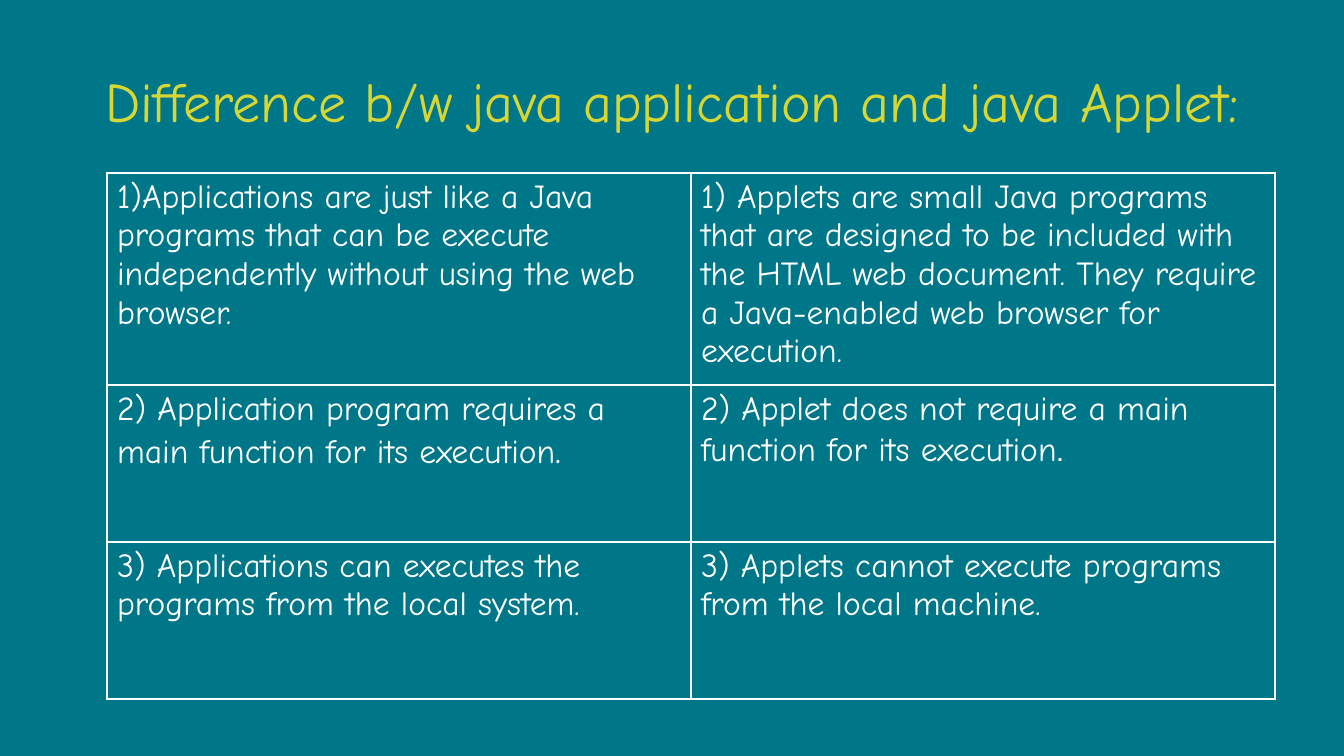
from dataclasses import dataclass

from lxml.etree import SubElement
from pptx import Presentation
from pptx.dml.color import RGBColor
from pptx.enum.text import MSO_ANCHOR, MSO_AUTO_SIZE, PP_ALIGN
from pptx.oxml.ns import qn
from pptx.util import Emu, Pt

COLORS = {"background": "007788", "title": "D6D734", "text": "FFFFFF", "border": "FFFFFF"}
FONT = "Comic Neue"
COLUMN_WIDTH = 584
ROW_HEIGHTS = (212, 157, 157)
TABLE_LEFT, TABLE_TOP = 107, 173


@dataclass
class Span:
    text: str
    size: int = 24
    font: str = FONT
    color: str = "text"


ROWS = [
    [
        [Span("1)Applications are just like a Java programs that can be execute "
              "independently without using the web browser.")],
        [Span("1) Applets are small Java programs that are designed to be included "
              "with the HTML web document. They require a Java-enabled web browser "
              "for execution.")],
    ],
    [
        [Span("2) Application program requires a main function for its execution"),
         Span(".", size=28)],
        [Span("2) Applet does not require a main function for its execution"),
         Span(".", font="Cabin")],
    ],
    [
        [Span("3) Applications can executes the programs from the local system.")],
        [Span("3) Applets cannot execute programs from the local machine.")],
    ],
]


def px(length: int) -> Emu:
    return Emu(round(length * 914400 / 100.8))


def write_spans(para, spans: list[Span]) -> None:
    for span in spans:
        run = para.add_run()
        run.text = span.text
        font_format = {"name": span.font, "size": Pt(span.size), "bold": False}
        for name, value in font_format.items():
            setattr(run.font, name, value)
        run.font.color.rgb = RGBColor.from_string(COLORS[span.color])


def add_borders(cell) -> None:
    properties = cell._tc.get_or_add_tcPr()
    for side in ("lnL", "lnR", "lnT", "lnB"):
        line = SubElement(properties, qn(f"a:{side}"), w=str(Pt(1)))
        fill = SubElement(line, qn("a:solidFill"))
        SubElement(fill, qn("a:srgbClr"), val=COLORS["border"])


def add_title(slide) -> None:
    title = slide.shapes.title
    place = {"left": 95, "top": 61, "width": 1213, "height": 78}
    for name, value in place.items():
        setattr(title, name, px(value))
    frame_format = {
        "word_wrap": True,
        "auto_size": MSO_AUTO_SIZE.NONE,
        "vertical_anchor": MSO_ANCHOR.TOP,
    }
    for name, value in frame_format.items():
        setattr(title.text_frame, name, value)
    para = title.text_frame.paragraphs[0]
    para.alignment = PP_ALIGN.LEFT
    write_spans(para, [Span("Difference b/w java application and java Applet:",
                            size=40, color="title")])


def add_comparison(slide) -> None:
    columns = len(ROWS[0])
    table = slide.shapes.add_table(
        len(ROWS), columns, px(TABLE_LEFT), px(TABLE_TOP),
        px(columns * COLUMN_WIDTH), px(sum(ROW_HEIGHTS))).table
    table.first_row = False
    table.horz_banding = False
    for column in table.columns:
        column.width = px(COLUMN_WIDTH)
    for row, height, contents in zip(table.rows, ROW_HEIGHTS, ROWS):
        row.height = px(height)
        for cell, spans in zip(row.cells, contents):
            add_borders(cell)
            cell.fill.background()
            write_spans(cell.text_frame.paragraphs[0], spans)


def main() -> None:
    deck = Presentation()
    deck.slide_width, deck.slide_height = px(1344), px(756)
    slide = deck.slides.add_slide(deck.slide_layouts.get_by_name("Title Only"))
    slide.background.fill.solid()
    slide.background.fill.fore_color.rgb = RGBColor.from_string(COLORS["background"])
    add_title(slide)
    add_comparison(slide)
    deck.save("out.pptx")


if __name__ == "__main__":
    main()
